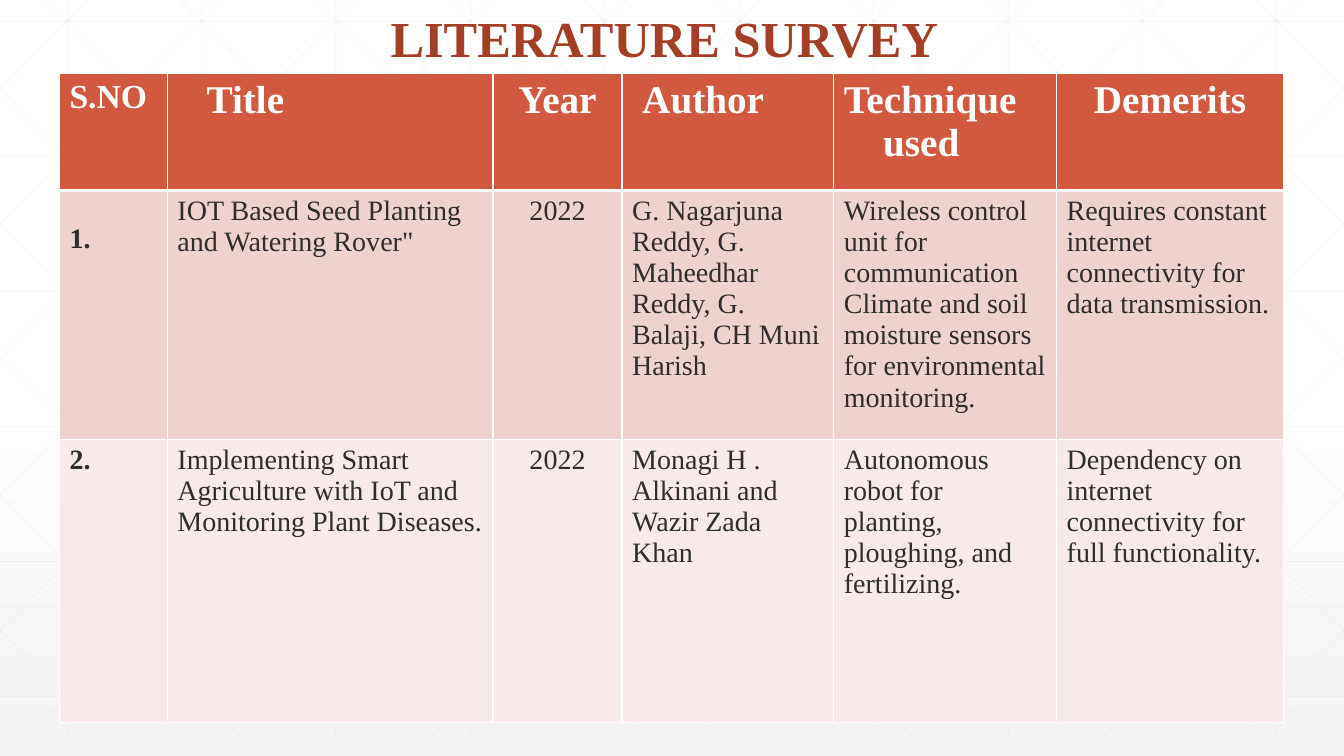
from dataclasses import dataclass

from lxml.etree import SubElement
from pptx import Presentation
from pptx.dml.color import RGBColor
from pptx.enum.shapes import MSO_CONNECTOR
from pptx.enum.text import MSO_ANCHOR, PP_ALIGN
from pptx.oxml.ns import qn
from pptx.oxml.xmlchemy import OxmlElement
from pptx.util import Pt

EMU_PER_PX = 9144
SLIDE_WIDTH, SLIDE_HEIGHT = 1333, 750
GRID_TOP, GRID_BOTTOM = -21, 729
DIAGONAL_RUN = 745
COLUMN_WIDTHS = (107, 323, 128, 210, 221, 225)
ROW_HEIGHTS = (116, 247, 281)
ROW_FILLS = ("D15A3E", "EED2CE", "F7EAE8")
CENTERED_COLUMNS = ("Year", "Demerits")
WHITE, INK, RUST, GRID_GREY = "FFFFFF", "2D2E2D", "A43F27", "D9D9D9"


@dataclass
class Line:
    """One paragraph of text with its look and left indent in px."""

    text: str
    size: int = 20
    bold: bool = False
    color: str = INK
    align: PP_ALIGN = PP_ALIGN.LEFT
    indent: int = 0


@dataclass
class Entry:
    """The lines of one table cell and the extra px above them."""

    lines: list[Line]
    drop: int = 0


@dataclass
class Study:
    """One surveyed paper."""

    number: str
    title: str
    year: str
    author: str
    technique: str
    demerits: str
    number_drop: int = 0


STUDIES = (
    Study("1.", 'IOT Based Seed Planting and Watering Rover"', "2022",
          "G. Nagarjuna Reddy, G. Maheedhar Reddy, G. Balaji, CH Muni Harish",
          "Wireless control unit for communication Climate and soil moisture sensors "
          "for environmental monitoring.",
          "Requires constant internet connectivity for data transmission.", 28),
    Study("2.", "Implementing Smart Agriculture with IoT and Monitoring Plant Diseases.",
          "2022", "Monagi H . Alkinani and Wazir Zada Khan",
          "Autonomous robot for planting, ploughing, and fertilizing.",
          "Dependency on internet connectivity for full functionality."),
)


def px(length: float) -> int:
    """Turn px into EMU."""
    return round(length) * EMU_PER_PX


def rgb(value: str) -> RGBColor:
    """Turn a hex string into a colour."""
    return RGBColor.from_string(value)


def apply_format(target, values: dict) -> None:
    """Set every named attribute on the target."""
    for name, value in values.items():
        setattr(target, name, value)


def write_lines(frame, lines: list[Line], spacing: float = 1.0) -> None:
    """Fill a text frame with formatted paragraphs."""
    for index, line in enumerate(lines):
        paragraph = frame.paragraphs[0] if index == 0 else frame.add_paragraph()
        apply_format(paragraph, {"alignment": line.align, "line_spacing": spacing})
        if line.indent:
            paragraph._p.get_or_add_pPr().set("marL", str(px(line.indent)))
        run = paragraph.add_run()
        run.text = line.text
        apply_format(run.font, {"name": "Times New Roman", "size": Pt(line.size),
                                "bold": line.bold})
        run.font.color.rgb = rgb(line.color)


def draw_background(slide) -> None:
    """Fade the slide from white to light grey towards the bottom."""
    fill = slide.background.fill
    fill.gradient()
    fill.gradient_angle = 270
    for stop, position, color in zip(fill.gradient_stops, (0.53, 1.0), (WHITE, "F2F2F2")):
        stop.position = position
        stop.color.rgb = rgb(color)


def draw_grid_line(slide, x1: float, y1: float, x2: float, y2: float) -> None:
    """Draw one faint line of the backdrop."""
    line = slide.shapes.add_connector(MSO_CONNECTOR.STRAIGHT, px(x1), px(y1), px(x2), px(y2))
    line.line.width = Pt(0.5)
    line.line.color.rgb = rgb(GRID_GREY)
    properties = line._element.spPr
    tint = next(properties.iter(qn("a:srgbClr")))
    SubElement(tint, qn("a:alpha")).set("val", "25000")
    SubElement(properties, qn("a:effectLst"))


def draw_grid(slide) -> None:
    """Draw uprights, levels and mirrored diagonals clipped to the slide."""
    step = SLIDE_WIDTH / 10
    for index in range(10):
        x = step * (index + 0.5)
        draw_grid_line(slide, x, GRID_TOP, x, GRID_BOTTOM)
    for index in range(6):
        y = 21 + 134 * index
        draw_grid_line(slide, 0, y, SLIDE_WIDTH, y)
    rise = (GRID_BOTTOM - GRID_TOP) / DIAGONAL_RUN
    for index in range(-5, 10):
        start = 25 + step * index
        left, right = max(0, start), min(SLIDE_WIDTH, start + DIAGONAL_RUN)
        upper, lower = (GRID_TOP + (x - start) * rise for x in (left, right))
        draw_grid_line(slide, left, upper, right, lower)
        draw_grid_line(slide, SLIDE_WIDTH - left, upper, SLIDE_WIDTH - right, lower)


def draw_title(slide) -> None:
    """Place the slide heading."""
    heading = slide.shapes.add_textbox(px(134), px(-29), px(1050), px(102)).text_frame
    apply_format(heading, {"word_wrap": True, "vertical_anchor": MSO_ANCHOR.BOTTOM})
    write_lines(heading, [Line("LITERATURE SURVEY", 36, True, RUST, PP_ALIGN.CENTER)], 0.9)


def header_line(text: str, size: int = 28, indent: int = 0) -> Line:
    """Describe one line of a column heading."""
    align = PP_ALIGN.CENTER if text in CENTERED_COLUMNS else PP_ALIGN.LEFT
    return Line(text, size, True, WHITE, align, indent)


def study_entries(study: Study) -> list[Entry]:
    """Describe the cells of one surveyed paper."""
    return [Entry([Line(study.number, bold=True)], study.number_drop),
            Entry([Line(study.title)]),
            Entry([Line(study.year, align=PP_ALIGN.CENTER)]),
            *(Entry([Line(text)]) for text in (study.author, study.technique, study.demerits))]


def set_borders(cell, widths: dict[str, int]) -> None:
    """Give a cell white borders of the given point widths."""
    properties = cell._tc.get_or_add_tcPr()
    for index, (side, width) in enumerate(widths.items()):
        border = OxmlElement(f"a:{side}")
        border.set("w", str(Pt(width)))
        SubElement(SubElement(border, qn("a:solidFill")), qn("a:srgbClr")).set("val", WHITE)
        properties.insert(index, border)


def draw_survey(slide) -> None:
    """Draw the table of surveyed papers."""
    headings = [Entry([header_line("S.NO", 24)]), Entry([header_line("Title", indent=29)]),
                Entry([header_line("Year")]), Entry([header_line("Author", indent=10)]),
                Entry([header_line("Technique"), header_line("used", indent=39)]),
                Entry([header_line("Demerits")])]
    rows = [headings, *map(study_entries, STUDIES)]
    survey = slide.shapes.add_table(len(rows), len(COLUMN_WIDTHS), px(59), px(73),
                                    px(sum(COLUMN_WIDTHS)), px(sum(ROW_HEIGHTS))).table
    for column, width in zip(survey.columns, COLUMN_WIDTHS):
        column.width = px(width)
    for row, height in zip(survey.rows, ROW_HEIGHTS):
        row.height = px(height)
    for row_index, (entries, color) in enumerate(zip(rows, ROW_FILLS)):
        borders = {"lnL": 1, "lnR": 1, "lnT": 3 if row_index == 1 else 1,
                   "lnB": 3 if row_index == 0 else 1}
        for column_index, entry in enumerate(entries):
            cell = survey.cell(row_index, column_index)
            cell.fill.solid()
            cell.fill.fore_color.rgb = rgb(color)
            cell.margin_top = px(5 + entry.drop)
            set_borders(cell, borders)
            write_lines(cell.text_frame, entry.lines)


def main() -> None:
    """Build and save the slide."""
    deck = Presentation()
    apply_format(deck, {"slide_width": px(SLIDE_WIDTH), "slide_height": px(SLIDE_HEIGHT)})
    slide = deck.slides.add_slide(deck.slide_layouts[6])
    draw_background(slide)
    draw_grid(slide)
    draw_title(slide)
    draw_survey(slide)
    deck.save("out.pptx")


if __name__ == "__main__":
    main()
